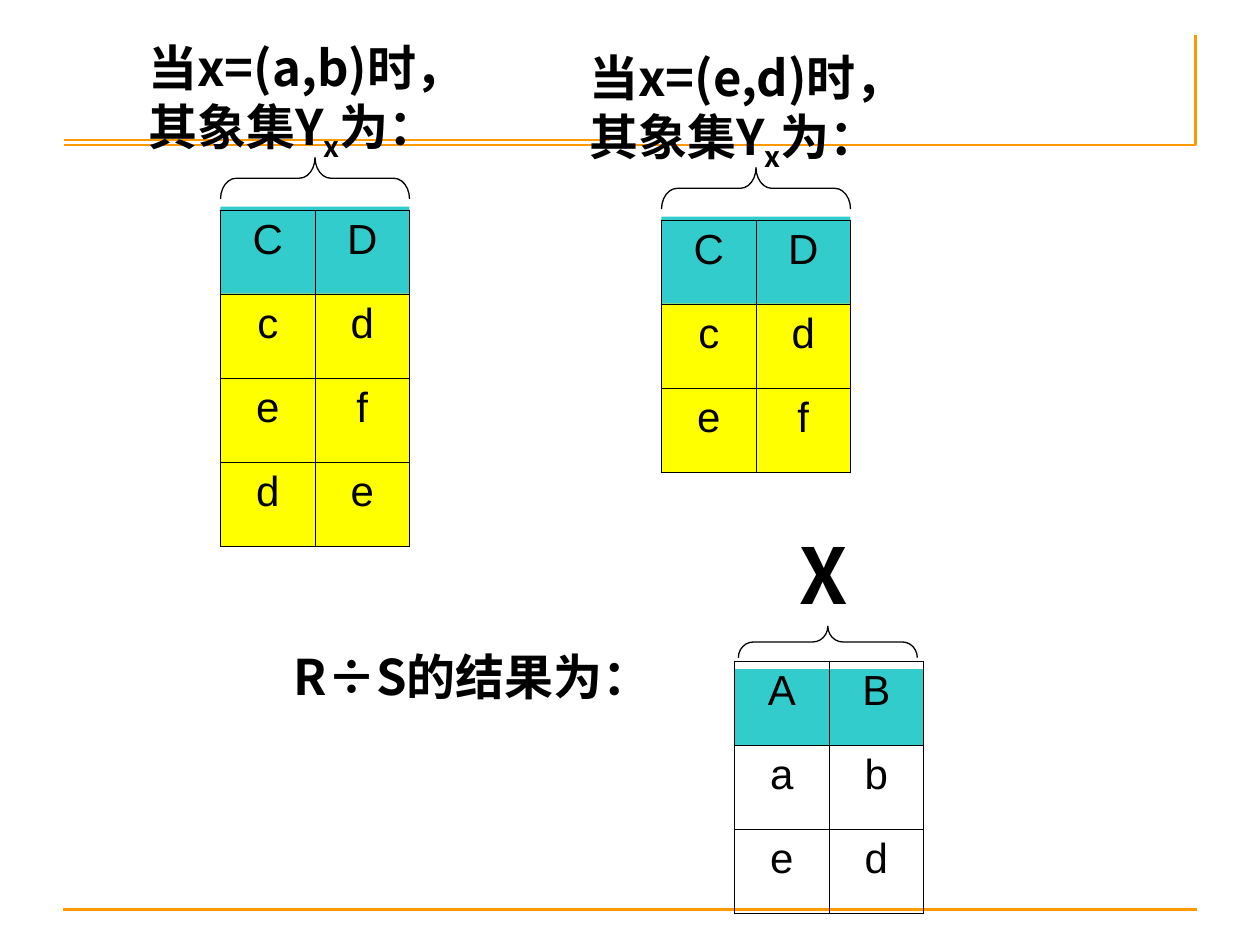
from lxml import etree
from pptx import Presentation
from pptx import util as u
from pptx.dml.color import RGBColor
from pptx.enum import shapes as es, text as et
from pptx.oxml.ns import qn

BLACK = RGBColor(0, 0, 0)
ORANGE = RGBColor(0xFF, 0x99, 0x00)
TEAL = RGBColor(0x33, 0xCC, 0xCC)
YELLOW = RGBColor(0xFF, 0xFF, 0x00)
SANS = "Arial"
HAN = "Noto Sans CJK SC"
COL = 0.75
ROW = 2 / 3


def box(x, y, w, h):
    return [u.Inches(n) for n in (x, y, w, h)]


def style(par, face, size, bold=False):
    font = par.font
    font.name, font.size, font.bold = face, u.Pt(size), bold
    font.color.rgb = BLACK


def rule(slide, x1, y1, x2, y2):
    line = slide.shapes.add_connector(
        es.MSO_CONNECTOR.STRAIGHT, *box(x1, y1, x2, y2))
    line.line.color.rgb = ORANGE
    line.line.width = u.Pt(1.5)
    etree.SubElement(line._element.spPr, qn("a:effectLst"))


def panel(slide, x, y, w, h, color):
    rect = slide.shapes.add_shape(es.MSO_SHAPE.RECTANGLE, *box(x, y, w, h))
    rect.shadow.inherit = False
    rect.fill.solid()
    rect.fill.fore_color.rgb = color
    rect.line.fill.background()


def brace(slide, x, y, w, h):
    left, top = x + (w - h) / 2, y + (h - w) / 2
    mark = slide.shapes.add_shape(es.MSO_SHAPE.LEFT_BRACE, *box(left, top, h, w))
    mark.rotation = 90
    mark.adjustments[0] = w / 12 / h
    mark.shadow.inherit = False
    mark.fill.background()
    mark.line.color.rgb = BLACK
    mark.line.width = u.Pt(0.75)


def label(slide, x, y, w, h, parts, size=28, align=et.PP_ALIGN.CENTER):
    frame = slide.shapes.add_textbox(*box(x, y, w, h)).text_frame
    frame.word_wrap = True
    par = frame.paragraphs[0]
    par.alignment = align
    style(par, HAN, size, bold=True)
    for part, base in parts:
        run = par.add_run()
        run.text = part
        if base:
            run.font._element.set("baseline", str(base))


def border(cell, edges):
    props = cell._tc.get_or_add_tcPr()
    for side, outer in zip("LRTB", edges):
        width = u.Pt(1.08 if outer else 0.45)
        line = etree.SubElement(props, qn("a:ln" + side), w=str(int(width)))
        fill = etree.SubElement(line, qn("a:solidFill"))
        etree.SubElement(fill, qn("a:srgbClr"), val=str(BLACK))


def grid(slide, x, y, rows):
    tall, wide = len(rows), len(rows[0])
    table = slide.shapes.add_table(
        tall, wide, *box(x, y, wide * COL, tall * ROW)).table
    table.first_row = table.horz_banding = False
    for r, row in enumerate(rows):
        for c, word in enumerate(row):
            cell = table.cell(r, c)
            border(cell, (c == 0, c == wide - 1, r == 0, r == tall - 1))
            cell.fill.background()
            cell.text = word
            par = cell.text_frame.paragraphs[0]
            par.alignment = et.PP_ALIGN.CENTER
            style(par, SANS, 24)


def frame(slide):
    rule(slide, 0.5, 7.22, 9.5, 7.22)
    rule(slide, 0.51, 1.15, 9.49, 1.15)
    rule(slide, 9.49, 0.28, 9.49, 1.15)
    rule(slide, 0.51, 1.11, 4.84, 1.11)


def image(slide, x, y, pair, rows):
    left, top, wide = x + 0.67, y + 1.42, 2 * COL
    panel(slide, left, top + 0.58, wide, len(rows) * ROW - 0.58, YELLOW)
    parts = [(f"当x={pair}时，其象集Y", 0), ("x", -25000), ("为：", 0)]
    label(slide, x, y, 2.92, 1.1, parts, align=et.PP_ALIGN.LEFT)
    panel(slide, left, top - 0.03, wide, 0.69, TEAL)
    grid(slide, left, top, rows)
    brace(slide, left, top - 0.42, wide, 0.33)


def result(slide, x, y):
    label(slide, x, y + 0.94, 3.5, 0.57, [("R÷S的结果为：", 0)])
    left, top = x + 3.83, y + 1.11
    panel(slide, left, top + 0.06, 2 * COL, 0.61, TEAL)
    grid(slide, left, top, ["AB", "ab", "ed"])
    brace(slide, left + 0.03, top - 0.28, 1.42, 0.25)
    label(slide, left + 0.25, y, 0.92, 0.84, [("X", 0)], 44)


def main():
    deck = Presentation()
    deck.slide_width, deck.slide_height = u.Inches(10), u.Inches(7.5)
    slide = deck.slides.add_slide(deck.slide_layouts[6])
    frame(slide)
    result(slide, 2, 4.14)
    image(slide, 1.08, 0.25, "(a,b)", ["CD", "cd", "ef", "de"])
    image(slide, 4.58, 0.33, "(e,d)", ["CD", "cd", "ef"])
    deck.save("out.pptx")


if __name__ == "__main__":
    main()
